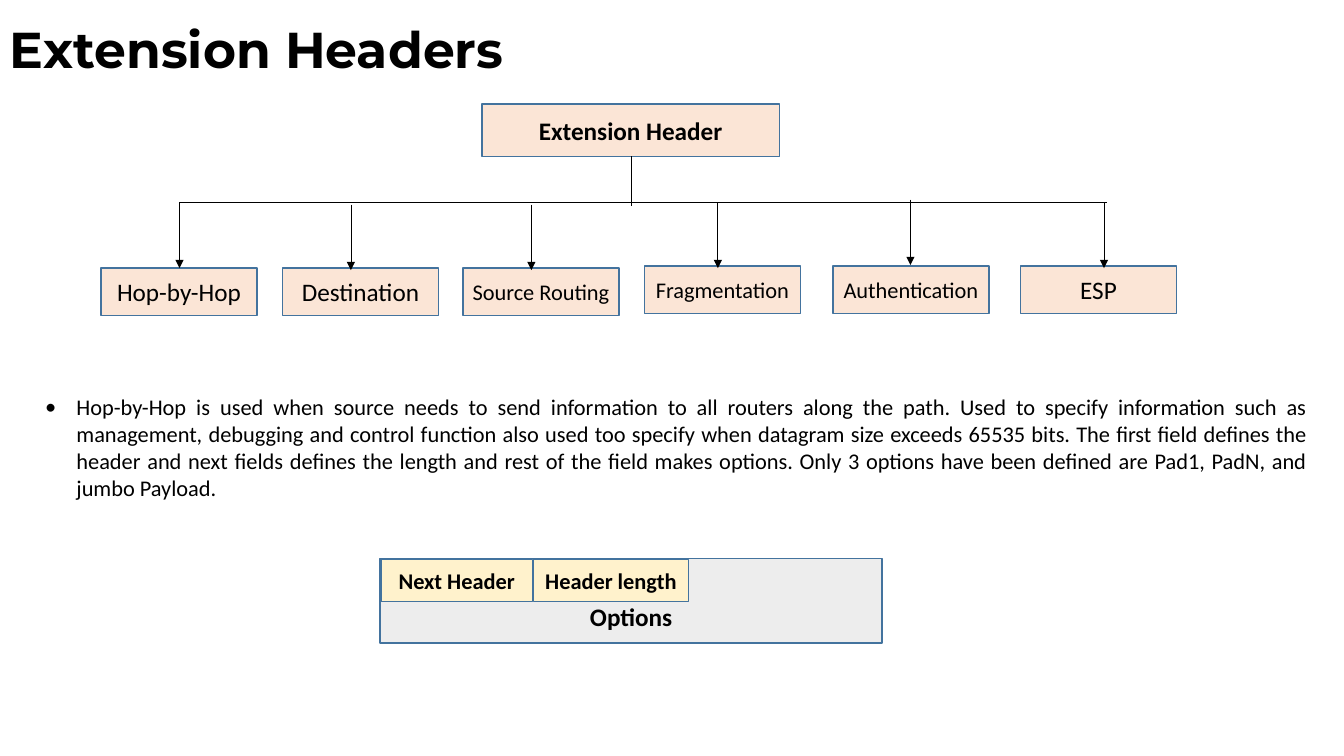
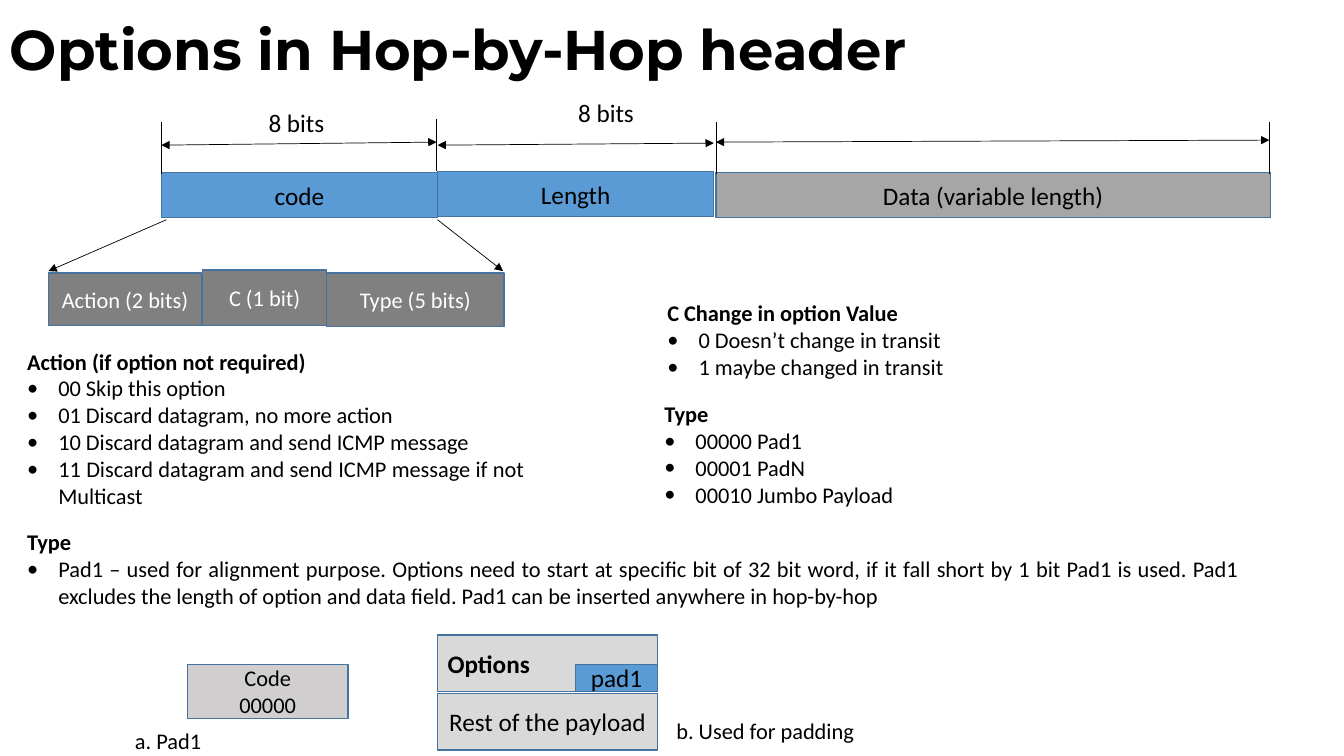
from pptx import Presentation
from pptx.dml.color import RGBColor
from pptx.enum.shapes import MSO_CONNECTOR, MSO_SHAPE
from pptx.enum.text import MSO_ANCHOR, PP_ALIGN
from pptx.oxml.ns import qn
from pptx.util import Inches, Pt
from lxml.etree import SubElement

BLACK = RGBColor(0x00, 0x00, 0x00)
WHITE = RGBColor(0xFF, 0xFF, 0xFF)
OUTLINE = RGBColor(0x43, 0x73, 0x9E)
PEACH = RGBColor(0xFB, 0xE5, 0xD6)
CREAM = RGBColor(0xFF, 0xF2, 0xCC)
PALE_GRAY = RGBColor(0xED, 0xED, 0xED)
LIGHT_GRAY = RGBColor(0xD9, 0xD9, 0xD9)
WARM_GRAY = RGBColor(0xD0, 0xCE, 0xCE)
MID_GRAY = RGBColor(0xA6, 0xA6, 0xA6)
DARK_GRAY = RGBColor(0x80, 0x80, 0x80)
BLUE = RGBColor(0x5B, 0x9B, 0xD5)

BODY_FONT = "Calibri"
TITLE_FONT = "Montserrat"
TITLE_AREA = (0, 0, 11.08, 1.03)
INDENT = Inches(0.31)
LEFT, CENTER, JUSTIFY = PP_ALIGN.LEFT, PP_ALIGN.CENTER, PP_ALIGN.JUSTIFY
TOP, MIDDLE, BOTTOM = MSO_ANCHOR.TOP, MSO_ANCHOR.MIDDLE, MSO_ANCHOR.BOTTOM


def add_text(page, area, text, bullets=(), fill=None, size=18, bold=False, color=BLACK,
             font=BODY_FONT, align=CENTER, anchor=MIDDLE, spacing=None, side=0.1, bottom=0.05):
    position = [Inches(length) for length in area]
    if fill is None:
        box = page.shapes.add_textbox(*position)
    else:
        box = page.shapes.add_shape(MSO_SHAPE.RECTANGLE, *position)
        box.shadow.inherit = False
        box.fill.solid()
        box.fill.fore_color.rgb = fill
        box.line.color.rgb = OUTLINE
        box.line.width = Pt(1)
    frame = box.text_frame
    frame.word_wrap = True
    frame.vertical_anchor = anchor
    frame.margin_left = frame.margin_right = Inches(side)
    frame.margin_bottom = Inches(bottom)
    lines = [(line, False) for line in text.splitlines()]
    lines += [(line, True) for line in bullets]
    for number, (line, bulleted) in enumerate(lines):
        para = frame.add_paragraph() if number else frame.paragraphs[0]
        para.alignment = align
        if spacing:
            para.line_spacing = spacing
        if bulleted:
            properties = para._p.get_or_add_pPr()
            properties.set("marL", str(INDENT))
            properties.set("indent", str(-INDENT))
            SubElement(properties, qn("a:buFont")).set("typeface", BODY_FONT)
            SubElement(properties, qn("a:buChar")).set("char", "•")
        span = para.add_run()
        span.text = line
        span.font.name = font
        span.font.size = Pt(size)
        span.font.bold = bold and not bulleted
        span.font.color.rgb = color


def add_line(page, start, end, arrows=()):
    points = [Inches(length) for length in (*start, *end)]
    line = page.shapes.add_connector(MSO_CONNECTOR.STRAIGHT, *points)
    line.line.color.rgb = BLACK
    line.line.width = Pt(0.5)
    properties = line.element.spPr
    for arrow in arrows:
        SubElement(properties.find(qn("a:ln")), qn(f"a:{arrow}")).set("type", "triangle")
    SubElement(properties, qn("a:effectLst"))


ONE_WAY = ("tailEnd",)
TWO_WAY = ("headEnd", "tailEnd")

deck = Presentation()
deck.slide_width = Inches(13.33)
deck.slide_height = Inches(7.5)
pages = []
for title, size in [("Extension Headers", 36), ("Options in Hop-by-Hop header", 40)]:
    page = deck.slides.add_slide(deck.slide_layouts[6])
    add_text(page, TITLE_AREA, title, size=size, bold=True, font=TITLE_FONT,
             align=LEFT, spacing=0.9)
    pages.append(page)
headers_page, options_page = pages

add_text(headers_page, (4.78, 1.03, 2.95, 0.52), "Extension Header", fill=PEACH, bold=True)
add_line(headers_page, (6.26, 1.55), (6.26, 2.04))
add_line(headers_page, (1.78, 2.01), (10.98, 2.01))
header_types = [
    ("Hop-by-Hop", 18, 1, 2.66, 1.78, 2.01),
    ("Destination", 18, 2.8, 2.66, 3.48, 2.03),
    ("Source Routing", 16, 4.59, 2.66, 5.27, 2.03),
    ("Fragmentation", 16, 6.39, 2.64, 7.12, 2.01),
    ("Authentication", 16, 8.26, 2.64, 9.03, 1.98),
    ("ESP", 18, 10.12, 2.64, 10.95, 2.01),
]
for name, size, left, top, arrow_x, arrow_top in header_types:
    add_text(headers_page, (left, top, 1.55, 0.47), name, fill=PEACH, size=size, side=0.05)
    add_line(headers_page, (arrow_x, arrow_top), (arrow_x, arrow_top + 0.65), ONE_WAY)

add_text(headers_page, (0.35, 3.85, 12.72, 1.18), "", [
    "Hop-by-Hop is used when source needs to send information to all routers along the path. "
    "Used to specify information such as management, debugging and control function also used "
    "too specify when datagram size exceeds 65535 bits. The first field defines the header and "
    "next fields defines the length and rest of the field makes options. Only 3 options have "
    "been defined are Pad1, PadN, and jumbo Payload.",
], size=16, align=JUSTIFY, anchor=TOP)

add_text(headers_page, (3.77, 5.54, 4.98, 0.84), "Options", fill=PALE_GRAY, bold=True,
         anchor=BOTTOM, bottom=0.11)
for name, left, width in [("Next Header", 3.78, 1.5), ("Header length", 5.29, 1.54)]:
    add_text(headers_page, (left, 5.55, width, 0.42), name, fill=CREAM, size=16, bold=True,
             side=0.05)

option_fields = [
    ("code", (1.6, 1.71, 2.74, 0.45), BLUE),
    ("Data (variable length)", (7.1, 1.71, 5.5, 0.45), MID_GRAY),
    ("Length", (4.34, 1.7, 2.74, 0.45), BLUE),
]
for name, area, fill in option_fields:
    add_text(options_page, area, name, fill=fill)

for x, bottom in [(1.6, 1.73), (4.33, 1.7), (7.1, 1.73), (12.59, 1.73)]:
    add_line(options_page, (x, bottom), (x, bottom - 0.52))
for start, end in [((1.6, 1.44), (4.33, 1.41)), ((4.34, 1.44), (7.08, 1.42)),
                   ((7.1, 1.41), (12.59, 1.39))]:
    add_line(options_page, start, end, TWO_WAY)
for left, top in [(2, 1.02), (5.07, 0.92)]:
    add_text(options_page, (left, top, 1.88, 0.4), "8 bits", anchor=TOP)

code_parts = [
    ("Action (2 bits)", (0.48, 2.71, 1.52, 0.52)),
    ("Type (5 bits)", (3.24, 2.71, 1.76, 0.53)),
    ("C (1 bit)", (2.01, 2.68, 1.23, 0.55)),
]
for name, area in code_parts:
    add_text(options_page, area, name, fill=DARK_GRAY, size=16, color=WHITE, side=0.05)
for start_x, end_x in [(1.65, 0.48), (4.34, 4.99)]:
    add_line(options_page, (start_x, 2.18), (end_x, 2.69), ONE_WAY)

explanations = [
    ((0.17, 3.4, 5.13, 1.99), "Action (if option not required)", [
        "00 Skip this option",
        "01 Discard datagram, no more action",
        "10 Discard datagram and send ICMP message",
        "11 Discard datagram and send ICMP message if not Multicast",
    ]),
    ((6.52, 2.92, 5.13, 0.91), "C Change in option Value", [
        "0 Doesn’t change in transit",
        "1 maybe changed in transit",
    ]),
    ((6.49, 3.92, 5.13, 1.18), "Type", [
        "00000 Pad1",
        "00001 PadN",
        "00010 Jumbo Payload",
    ]),
    ((0.17, 5.19, 12.22, 0.91), "Type", [
        "Pad1 – used for alignment purpose. Options need to start at specific bit of 32 bit "
        "word, if it fall short by 1 bit Pad1 is used. Pad1 excludes the length of option and "
        "data field. Pad1 can be inserted anywhere in hop-by-hop",
    ]),
]
for area, heading, bullets in explanations:
    add_text(options_page, area, heading, bullets, size=16, bold=True,
             align=JUSTIFY, anchor=TOP)

add_text(options_page, (1.86, 6.59, 1.59, 0.54), "Code\n00000", fill=WARM_GRAY, size=16)
add_text(options_page, (4.34, 6.3, 2.18, 0.56), "Options", fill=LIGHT_GRAY, bold=True,
         align=LEFT)
add_text(options_page, (4.34, 6.88, 2.18, 0.56), "Rest of the payload", fill=LIGHT_GRAY,
         side=0.05)
add_text(options_page, (5.71, 6.59, 0.81, 0.27), "pad1", fill=BLUE)
for caption, left, top in [("a. Pad1", 1.24, 7.16), ("b. Used for padding", 6.61, 7.07)]:
    add_text(options_page, (left, top, 2.3, 0.37), caption, size=16, align=LEFT, anchor=TOP)

deck.save("out.pptx")
